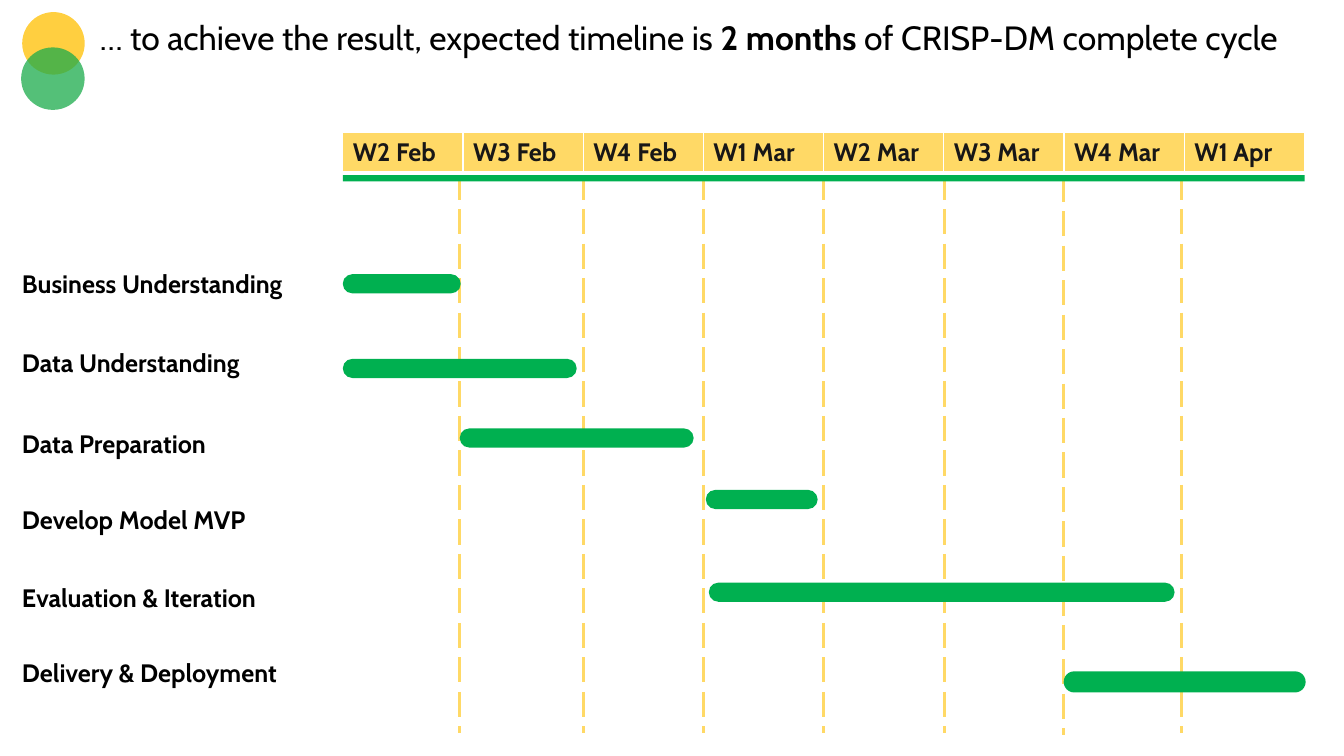
from lxml.etree import SubElement
from pptx import Presentation
from pptx.dml.color import RGBColor
from pptx.enum.dml import MSO_LINE
from pptx.enum.shapes import MSO_CONNECTOR, MSO_SHAPE
from pptx.enum.text import MSO_ANCHOR, MSO_AUTO_SIZE, PP_ALIGN
from pptx.oxml.ns import qn
from pptx.util import Inches, Pt

FONT = "Cabin"
BLACK, WHITE, INK = "000000", "FFFFFF", "181717"
GOLD, GREEN = "FFD966", "00B050"
LEFT, WIDTH = 3.4, 9.54

WEEKS = ["W2 Feb", "W3 Feb", "W4 Feb", "W1 Mar",
         "W2 Mar", "W3 Mar", "W4 Mar", "W1 Apr"]
# Dashed week guides: x, top
GUIDES = [(4.56, 1.39), (5.79, 1.39), (6.98, 1.39), (8.17, 1.39),
          (9.37, 1.39), (10.55, 1.41), (11.72, 1.39)]
# Phase name, label top, then bar left, top, width, height
PHASES = [
    ("Business Understanding", 2.61, (3.4, 2.72, 1.17, 0.19)),
    ("Data Understanding", 3.4, (3.4, 3.56, 2.32, 0.19)),
    ("Data Preparation", 4.2, (4.56, 4.25, 2.32, 0.19)),
    ("Develop Model MVP", 4.95, (7, 4.86, 1.11, 0.19)),
    ("Evaluation & Iteration", 5.73, (7.03, 5.78, 4.62, 0.19)),
    ("Delivery & Deployment", 6.47, (10.55, 6.66, 2.4, 0.21)),
]


def color(code):
    return RGBColor.from_string(code)


def style(font, size, code, bold=None):
    font.name, font.size, font.bold = FONT, Pt(size), bold
    font.color.rgb = color(code)


def add_title(slide, parts):
    title = slide.shapes.title
    title.left, title.top = Inches(0.89), Inches(0.12)
    title.width, title.height = Inches(12.32), Inches(0.91)
    frame = title.text_frame
    frame.word_wrap = True
    frame.auto_size = MSO_AUTO_SIZE.NONE
    frame.vertical_anchor = MSO_ANCHOR.TOP
    line = frame.paragraphs[0]
    line.alignment = PP_ALIGN.LEFT
    for text, bold in parts:
        run = line.add_run()
        run.text = text
        style(run.font, 24, BLACK, bold)


def add_label(slide, text, top):
    box = slide.shapes.add_textbox(Inches(0.12), Inches(top), Inches(3.2), Inches(0.4))
    frame = box.text_frame
    frame.word_wrap = True
    frame.text = text
    style(frame.paragraphs[0].font, 18, BLACK, True)


def add_form(slide, kind, spot, code, alpha=None):
    form = slide.shapes.add_shape(kind, *map(Inches, spot))
    form.shadow.inherit = False
    form.fill.solid()
    form.fill.fore_color.rgb = color(code)
    form.line.fill.background()
    if alpha:
        tint = form.fill._xPr.find(f".//{qn('a:srgbClr')}")
        SubElement(tint, qn("a:alpha"), val=str(alpha * 1000))
    return form


def add_bar(slide, spot):
    bar = add_form(slide, MSO_SHAPE.ROUNDED_RECTANGLE, spot, GREEN)
    bar.adjustments[0] = 0.5


def add_guide(slide, x, top):
    guide = slide.shapes.add_connector(
        MSO_CONNECTOR.STRAIGHT, Inches(x), Inches(top), Inches(x), Inches(top + 5.88))
    guide.line.color.rgb = color(GOLD)
    guide.line.width = Pt(2.25)
    guide.line.dash_style = MSO_LINE.LONG_DASH
    SubElement(guide._element.spPr, qn("a:effectLst"))


def add_edges(cell):
    props = cell._tc.get_or_add_tcPr()
    for side, width in (("L", 1), ("R", 1), ("T", 1), ("B", 3)):
        edge = SubElement(props, qn(f"a:ln{side}"), w=str(Pt(width)))
        fill = SubElement(edge, qn("a:solidFill"))
        SubElement(fill, qn("a:srgbClr"), val=WHITE)


def add_weeks(slide):
    table = slide.shapes.add_table(
        1, len(WEEKS), Inches(LEFT), Inches(1.31), Inches(WIDTH), Inches(0.41)).table
    table.horz_banding = False
    for cell, week in zip(table.rows[0].cells, WEEKS):
        add_edges(cell)
        cell.fill.solid()
        cell.fill.fore_color.rgb = color(GOLD)
        cell.text = week
        style(cell.text_frame.paragraphs[0].font, 18, INK, True)


def main():
    deck = Presentation()
    deck.slide_width, deck.slide_height = Inches(13.33), Inches(7.5)
    slide = deck.slides.add_slide(deck.slide_layouts[5])

    # Week guides behind everything
    for x, top in GUIDES:
        add_guide(slide, x, top)

    # Heading with its two discs
    add_title(slide, [
        ("… to achieve the result, expected timeline is ", False),
        ("2 months", True),
        (" of CRISP-DM complete cycle", False),
    ])
    add_form(slide, MSO_SHAPE.OVAL, (0.22, 0.12, 0.62, 0.62), "FFC000", 75)
    add_form(slide, MSO_SHAPE.OVAL, (0.21, 0.47, 0.63, 0.62), "1BAC4B", 75)

    # Week header and its rule
    add_form(slide, MSO_SHAPE.RECTANGLE, (LEFT, 1.72, WIDTH, 0.08), GREEN)
    add_weeks(slide)

    # Project phases
    for name, top, spot in PHASES:
        add_label(slide, name, top)
        add_bar(slide, spot)

    deck.save("out.pptx")


if __name__ == "__main__":
    main()
